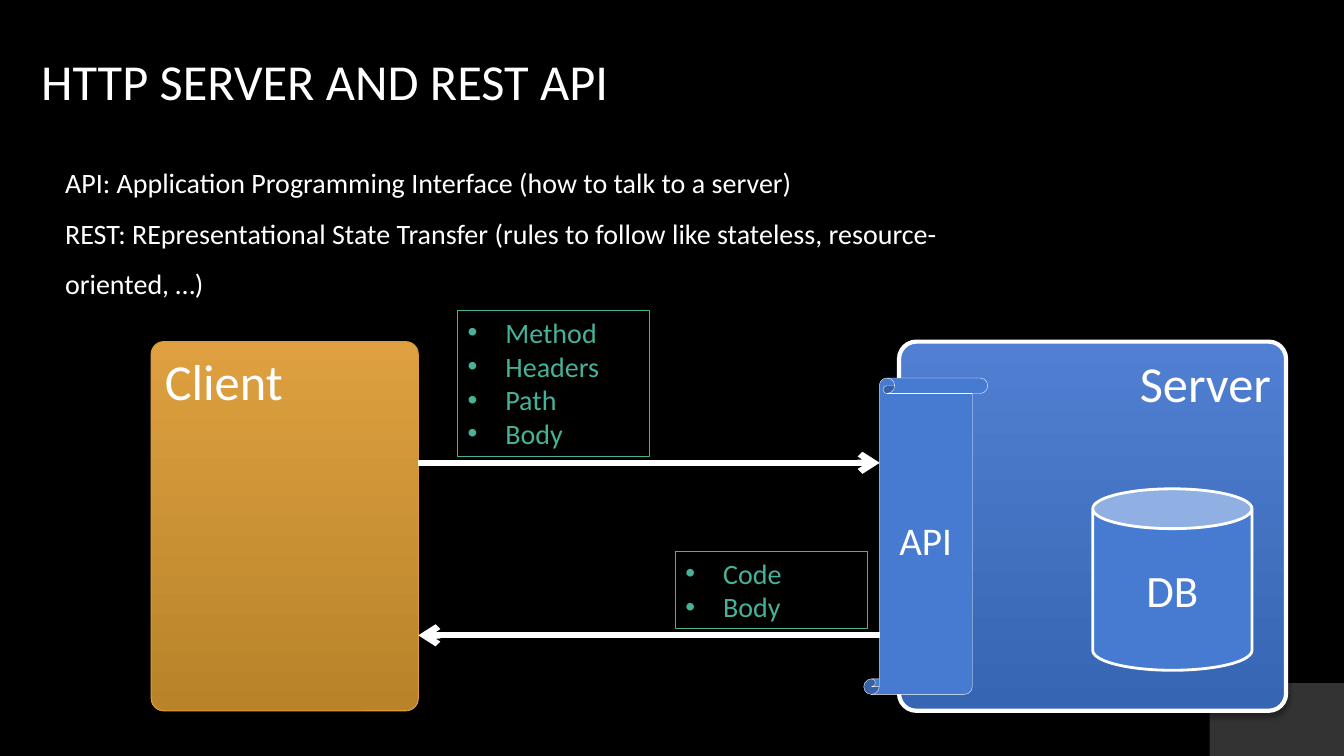
import pptx
import pptx.util
from lxml import etree
from pptx.dml.color import RGBColor
from pptx.enum.shapes import MSO_CONNECTOR, MSO_SHAPE
from pptx.enum.text import MSO_ANCHOR, PP_ALIGN
from pptx.oxml.ns import qn
from pptx.util import Pt

COLORS = {
    "background": "000000",
    "white": "FFFFFF",
    "server_top": "5180D2",
    "server_bottom": "3665B3",
    "client_top": "DEA040",
    "client_bottom": "B88329",
    "client_line": "DD9D31",
    "part": "477BD1",
    "message": "46B298",
}
FONT = "Calibri"


def color(name):
    return RGBColor.from_string(COLORS[name])


def write(shape, lines, size, color_name="white", align=PP_ALIGN.LEFT,
          anchor=MSO_ANCHOR.TOP, spacing=None, bullets=False):
    frame = shape.text_frame
    frame.word_wrap = True
    frame.vertical_anchor = anchor
    for index, line in enumerate(lines):
        paragraph = frame.paragraphs[0] if index == 0 else frame.add_paragraph()
        paragraph.alignment = align
        if spacing:
            paragraph.line_spacing = spacing
        if bullets:
            add_bullet(paragraph)
        run = paragraph.add_run()
        run.text = line
        run.font.name = FONT
        run.font.size = Pt(size)
        run.font.color.rgb = color(color_name)


def add_bullet(paragraph):
    properties = paragraph._p.get_or_add_pPr()
    properties.set("marL", str(Pt(27)))
    properties.set("indent", str(-Pt(27)))
    etree.SubElement(properties, qn("a:buFont"), typeface="Arial")
    etree.SubElement(properties, qn("a:buChar"), char="•")


def add_text(slide, box, lines, size, **options):
    shape = slide.shapes.add_textbox(*map(Pt, box))
    write(shape, lines, size, **options)


def add_shape(slide, kind, box, fill=None, line=None, width=0):
    """Add a preset shape; no fill or line name means none is drawn."""
    shape = slide.shapes.add_shape(kind, *map(Pt, box))
    shape.shadow.inherit = False
    if fill:
        shape.fill.solid()
        shape.fill.fore_color.rgb = color(fill)
    else:
        shape.fill.background()
    if line:
        shape.line.color.rgb = color(line)
        shape.line.width = Pt(width)
    else:
        shape.line.fill.background()
    return shape


def add_alpha(color_element, percent):
    etree.SubElement(color_element, qn("a:alpha"), val=str(percent * 1000))


def add_corner(slide, box):
    corner = add_shape(slide, MSO_SHAPE.ROUND_1_RECTANGLE, box, "white")
    corner.adjustments[0] = 0
    corner._element.spPr.find(qn("a:xfrm")).set("flipH", "1")
    add_alpha(corner._element.spPr.find(f".//{qn('a:srgbClr')}"), 20)


def add_machine(slide, box, name, gradient, line, width, align):
    """Add a rounded gradient panel with a soft shadow and its name on top."""
    machine = add_shape(slide, MSO_SHAPE.ROUNDED_RECTANGLE, box, None, line, width)
    machine.adjustments[0] = 0.047
    machine.fill.gradient()
    machine.fill.gradient_angle = 270
    for stop, stop_color in zip(machine.fill.gradient_stops, gradient):
        stop.color.rgb = color(stop_color)
    effects = machine._element.spPr.find(qn("a:effectLst"))
    shadow = etree.SubElement(
        effects, qn("a:outerShdw"), blurRad=str(Pt(4)), dist=str(Pt(3)),
        dir="5400000", rotWithShape="0")
    shadow_color = etree.SubElement(
        shadow, qn("a:srgbClr"), val=COLORS["background"])
    add_alpha(shadow_color, 35)
    write(machine, [name], 36, align=align)


def add_part(slide, kind, box, name, size, width):
    part = add_shape(slide, kind, box, "part", "white", width)
    write(part, [name], size, align=PP_ALIGN.CENTER, anchor=MSO_ANCHOR.MIDDLE)


def add_server(slide, box):
    """Add the server with its API scroll and its database."""
    left, top, width, height = box
    add_machine(slide, box, "Server", ("server_top", "server_bottom"),
                "white", 3, PP_ALIGN.RIGHT)
    add_part(slide, MSO_SHAPE.VERTICAL_SCROLL,
             (left - 25.2, top + 26, 88.6, 226), "API", 28, 0.25)
    add_part(slide, MSO_SHAPE.CAN,
             (left + 138.3, top + 105.2, 113.8, 129.6), "DB", 32, 2)


def add_message(slide, box, items, start, end, arrow_y):
    """Add the arrow of a message and the box that lists its contents."""
    arrow = slide.shapes.add_connector(
        MSO_CONNECTOR.STRAIGHT, Pt(start), Pt(arrow_y), Pt(end), Pt(arrow_y))
    arrow.line.color.rgb = color("white")
    arrow.line.width = Pt(4.5)
    etree.SubElement(arrow.line._get_or_add_ln(), qn("a:tailEnd"), type="arrow")
    etree.SubElement(arrow._element.spPr, qn("a:effectLst"))
    contents = add_shape(slide, MSO_SHAPE.RECTANGLE, box, None, "message", 0.75)
    write(contents, items, 20, "message", bullets=True)


def build_slide(presentation):
    slide = presentation.slides.add_slide(presentation.slide_layouts[6])
    slide.background.fill.solid()
    slide.background.fill.fore_color.rgb = color("background")

    add_corner(slide, (864, 488, 96, 52))
    add_text(slide, (22.3, 0, 798, 114.5), ["HTTP SERVER AND REST API"], 36,
             anchor=MSO_ANCHOR.MIDDLE)
    add_text(slide, (39.4, 103, 682.6, 112.3), [
        "API: Application Programming Interface (how to talk to a server)",
        "REST: REpresentational State Transfer (rules to follow like stateless, "
        "resource-oriented, …)",
    ], 20, spacing=1.5)

    add_server(slide, (642.2, 244, 276.5, 263.7))
    add_machine(slide, (108, 244, 190.8, 263.7), "Client",
                ("client_top", "client_bottom"), "client_line", 0.75, PP_ALIGN.LEFT)

    client_edge, api_edge = 298.8, 628.4
    add_message(slide, (326.9, 221.8, 137.2, 104.4),
                ["Method", "Headers", "Path", "Body"], client_edge, api_edge, 330.6)
    add_message(slide, (482.5, 393.7, 137.2, 55.4),
                ["Code", "Body"], api_edge, client_edge, 453.8)


def main():
    presentation = pptx.Presentation()
    presentation.slide_width = Pt(960)
    presentation.slide_height = Pt(540)
    build_slide(presentation)
    presentation.save("out.pptx")


if __name__ == "__main__":
    main()
